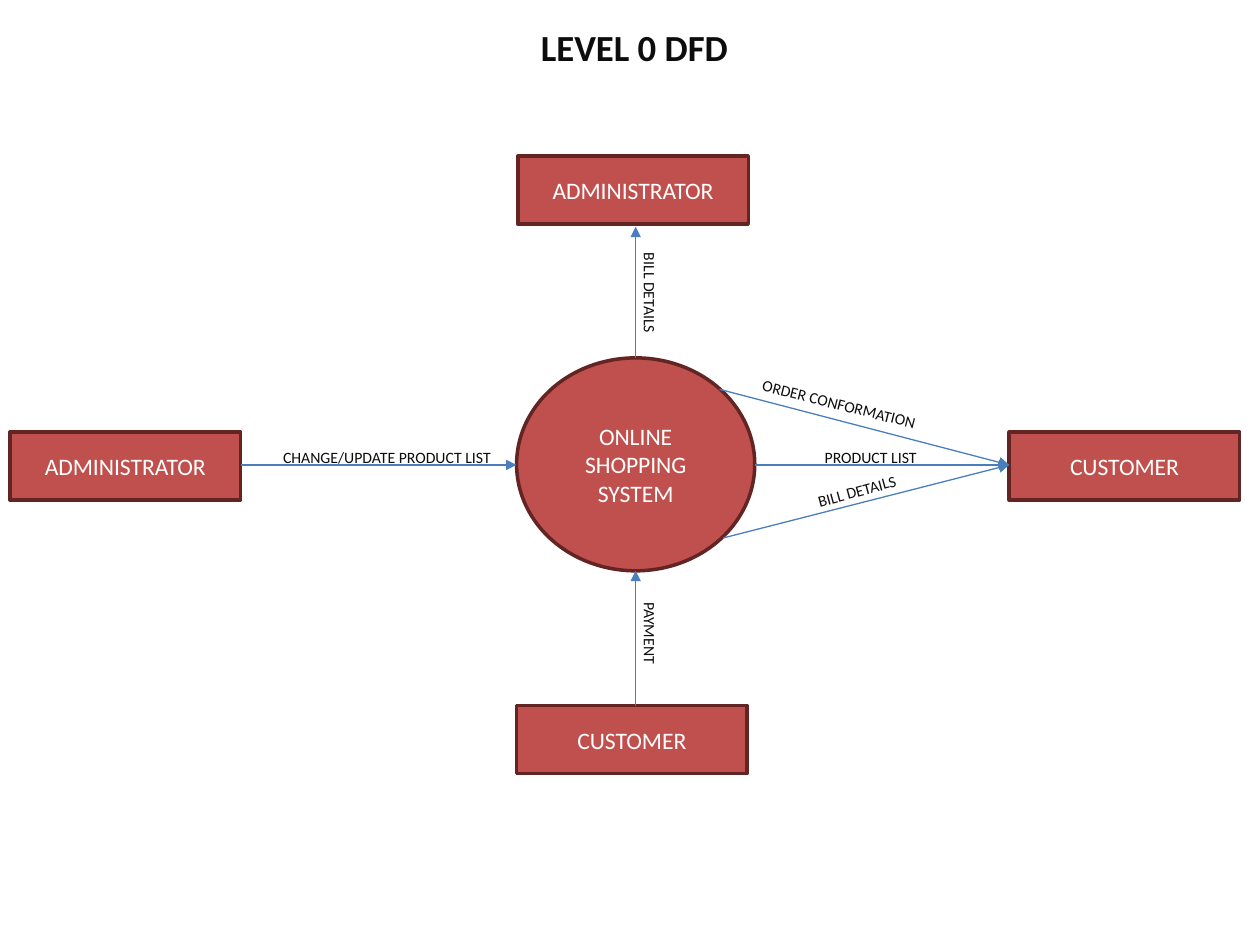
from dataclasses import dataclass

from pptx import Presentation
from pptx.dml.color import RGBColor
from pptx.enum import shapes, text
from pptx.oxml.ns import qn
from pptx.util import Inches, Pt
from lxml import etree


@dataclass(frozen=True)
class Theme:
    font: str = "Calibri"
    node_fill: str = "C0504D"
    node_line: str = "632523"
    flow: str = "4B7EBC"
    ink: str = "0D0D0D"
    light: str = "FFFFFF"
    title_size: float = 21
    node_size: float = 13.5
    label_size: float = 9
    node_border: float = 2
    flow_width: float = 0.75


THEME = Theme()
RECTANGLE = shapes.MSO_SHAPE.RECTANGLE
OVAL = shapes.MSO_SHAPE.OVAL
ENTITY_SIZE = (1.83, 0.54)
LABEL_SIZE = (1.94, 0.39)


def color(value):
    return RGBColor.from_string(value)


def write(shape, wording, size=THEME.label_size, ink=THEME.ink, bold=False):
    frame = shape.text_frame
    frame.word_wrap = True
    frame.vertical_anchor = text.MSO_ANCHOR.MIDDLE
    paragraph = frame.paragraphs[0]
    paragraph.alignment = text.PP_ALIGN.CENTER
    run = paragraph.add_run()
    run.text = wording
    run.font.name = THEME.font
    run.font.size = Pt(size)
    run.font.bold = bold
    run.font.color.rgb = color(ink)


def add_node(slide, wording, box, kind=RECTANGLE):
    node = slide.shapes.add_shape(kind, *map(Inches, box))
    node.shadow.inherit = False
    node.fill.solid()
    node.fill.fore_color.rgb = color(THEME.node_fill)
    node.line.color.rgb = color(THEME.node_line)
    node.line.width = Pt(THEME.node_border)
    write(node, wording, size=THEME.node_size, ink=THEME.light)


def add_label(slide, wording, box, rotation=0, **style):
    label = slide.shapes.add_textbox(*map(Inches, box))
    label.rotation = rotation
    write(label, wording, **style)


def add_flow(slide, start, end):
    """Draw a data flow with its arrowhead at the end point."""
    flow = slide.shapes.add_connector(
        shapes.MSO_CONNECTOR.STRAIGHT, *map(Inches, (*start, *end)))
    flow.line.color.rgb = color(THEME.flow)
    flow.line.width = Pt(THEME.flow_width)
    etree.SubElement(flow.line._get_or_add_ln(), qn("a:tailEnd"), type="triangle")
    etree.SubElement(flow._element.spPr, qn("a:effectLst"))


def add_title(slide, box):
    add_label(slide, "LEVEL 0 DFD", box, size=THEME.title_size, bold=True)


def add_diagram(slide, box):
    """Place the process, its entities and the flows between them."""
    left, top, width, height = box
    right, middle = left + width, top + 2.45
    process_left, process_top, process_width, process_height = 4.1, 2.84, 1.89, 1.69
    process_right = process_left + process_width
    process_bottom = process_top + process_height
    center = process_left + process_width / 2
    entity_width, entity_height = ENTITY_SIZE
    customer_left = right - entity_width
    side_top = middle - 0.26
    bottom_top = top + height - entity_height

    add_node(slide, "ONLINE SHOPPING SYSTEM",
             (process_left, process_top, process_width, process_height), OVAL)
    entities = [
        ("ADMINISTRATOR", left, side_top),
        ("CUSTOMER", customer_left, side_top),
        ("ADMINISTRATOR", process_left + 0.01, top),
        ("CUSTOMER", process_left, bottom_top),
    ]
    for wording, x, y in entities:
        add_node(slide, wording, (x, y, *ENTITY_SIZE))

    customer = (customer_left, middle)
    flows = [
        ((left + entity_width, middle), (process_left, middle)),
        ((process_right, middle), customer),
        ((5.74, 4.27), customer),
        ((5.71, 3.09), customer),
        ((center, bottom_top), (center, process_bottom)),
        ((center, process_top), (center, top + entity_height + 0.02)),
    ]
    for start, end in flows:
        add_flow(slide, start, end)

    labels = [
        ("CHANGE/UPDATE PRODUCT LIST", 2.1, side_top, 0),
        ("PRODUCT LIST", 5.94, side_top, 0),
        ("BILL DETAILS", 4.19, 2.13, 90),
        ("BILL DETAILS", 5.83, 3.7, 344.7),
        ("ORDER CONFORMATION", 5.69, 3.01, 14),
        ("PAYMENT", 4.19, 4.83, 90),
    ]
    for wording, x, y, rotation in labels:
        add_label(slide, wording, (x, y, *LABEL_SIZE), rotation)


def main():
    deck = Presentation()
    deck.slide_width, deck.slide_height = Inches(10), Inches(7.5)
    slide = deck.slides.add_slide(deck.slide_layouts[6])
    add_diagram(slide, (0.08, 1.24, 9.76, 4.9))
    add_title(slide, (0.93, 0.21, 8.21, 0.32))
    deck.save("out.pptx")


if __name__ == "__main__":
    main()
